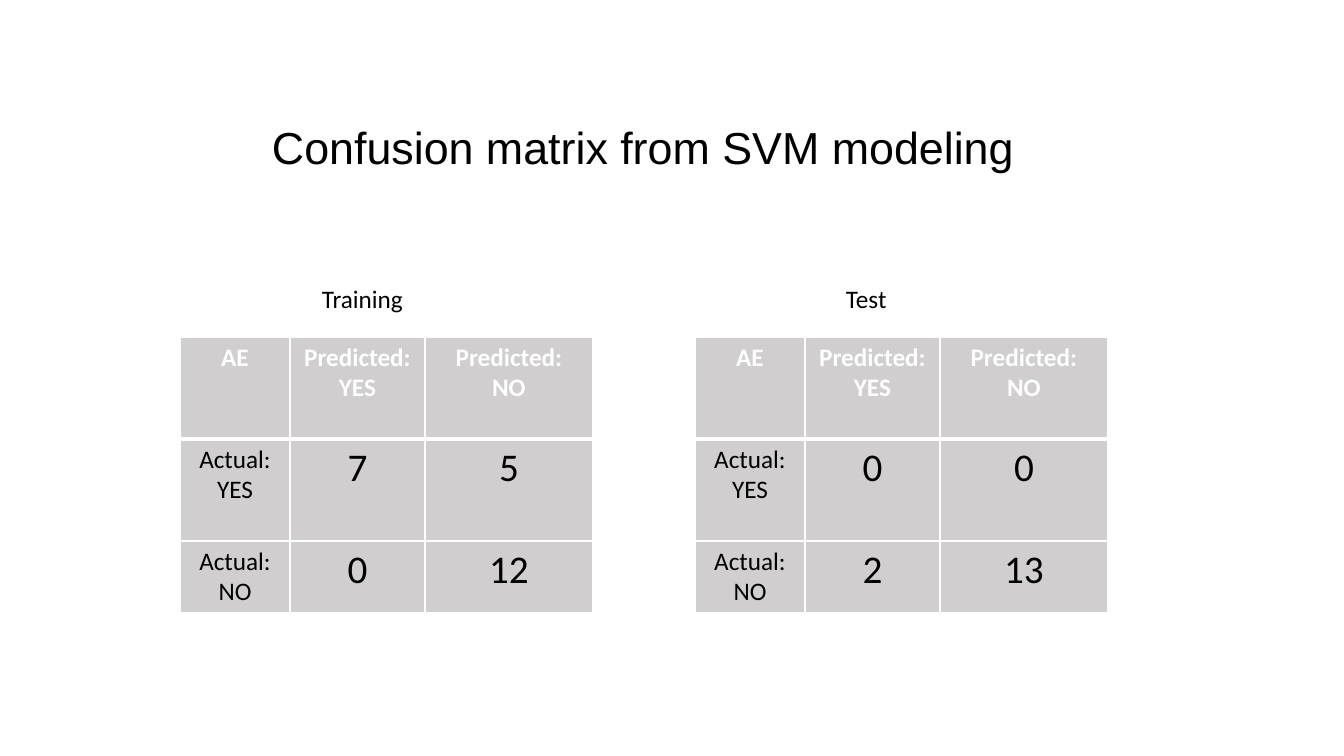
from lxml.etree import SubElement
from pptx import Presentation
from pptx.dml.color import RGBColor as Rgb
from pptx.enum.text import PP_ALIGN as Align
from pptx.oxml.ns import qn
from pptx.util import Pt

PX = 12192000 / 1344

WHITE, BLACK, GREY = "FFFFFF", "000000", "D0CECE"
THEME = {
    "title": {"name": "Arial", "size": Pt(32), "bold": False, "color": BLACK},
    "label": {"name": "Calibri", "size": Pt(18), "bold": False, "color": BLACK},
    "header": {"name": "Calibri", "size": Pt(18), "bold": True, "color": WHITE},
    "count": {"name": "Calibri", "size": Pt(28), "bold": False, "color": BLACK},
    "cell": GREY,
    "border": WHITE,
    "thin": Pt(1),
    "thick": Pt(3),
}

COLUMN_WIDTHS = [110, 135, 168]
ROW_HEIGHTS = [102, 102, 72]
MATRIX_TOP = 337
HEADER = ["AE", "Predicted:\nYES", "Predicted:\nNO"]
ACTUAL = ["Actual:\nYES", "Actual:\nNO"]

# name, left of matrix, left of caption, counts by actual class
MATRICES = [
    ("Training", 180, 312, [["7", "5"], ["0", "12"]]),
    ("Test", 695, 836, [["0", "0"], ["2", "13"]]),
]


def emu(*lengths):
    return [round(length * PX) for length in lengths]


def write(frame, text, style, align=Align.LEFT):
    """Fill a text frame, one paragraph per line, in a style of the theme."""
    frame.text = text
    for paragraph in frame.paragraphs:
        paragraph.alignment = align
        for key, value in THEME[style].items():
            if key == "color":
                paragraph.font.color.rgb = Rgb.from_string(value)
            else:
                setattr(paragraph.font, key, value)


prs = Presentation()
prs.slide_width, prs.slide_height = emu(1344, 756)
slide = prs.slides.add_slide(prs.slide_layouts[6])

for name, matrix_left, _, counts in MATRICES:
    rows = [HEADER] + [[actual, *values] for actual, values in zip(ACTUAL, counts)]
    matrix = slide.shapes.add_table(
        len(ROW_HEIGHTS), len(COLUMN_WIDTHS),
        *emu(matrix_left, MATRIX_TOP, sum(COLUMN_WIDTHS), sum(ROW_HEIGHTS)),
    ).table
    for column, width in zip(matrix.columns, emu(*COLUMN_WIDTHS)):
        column.width = width
    for row, height in zip(matrix.rows, emu(*ROW_HEIGHTS)):
        row.height = height

    for r, texts in enumerate(rows):
        for c, text in enumerate(texts):
            cell = matrix.cell(r, c)
            style = "header" if r == 0 else "label" if c == 0 else "count"
            write(cell.text_frame, text, style, Align.CENTER)

            cell_properties = cell._tc.get_or_add_tcPr()
            for side in ("L", "R", "T", "B"):
                below_header = (r, side) in [(0, "B"), (1, "T")]
                width = THEME["thick" if below_header else "thin"]
                border = SubElement(cell_properties, qn(f"a:ln{side}"), w=str(width))
                border_fill = SubElement(border, qn("a:solidFill"))
                SubElement(border_fill, qn("a:srgbClr"), val=THEME["border"])

            cell.fill.solid()
            cell.fill.fore_color.rgb = Rgb.from_string(THEME["cell"])

headings = [("Confusion matrix from SVM modeling", "title", (262, 115, 952, 119))]
headings += [
    (name, "label", (caption_left, 278, 224, 44))
    for name, _, caption_left, _ in MATRICES
]
for text, style, bounds in headings:
    frame = slide.shapes.add_textbox(*emu(*bounds)).text_frame
    frame.word_wrap = True
    write(frame, text, style)

prs.save("out.pptx")
